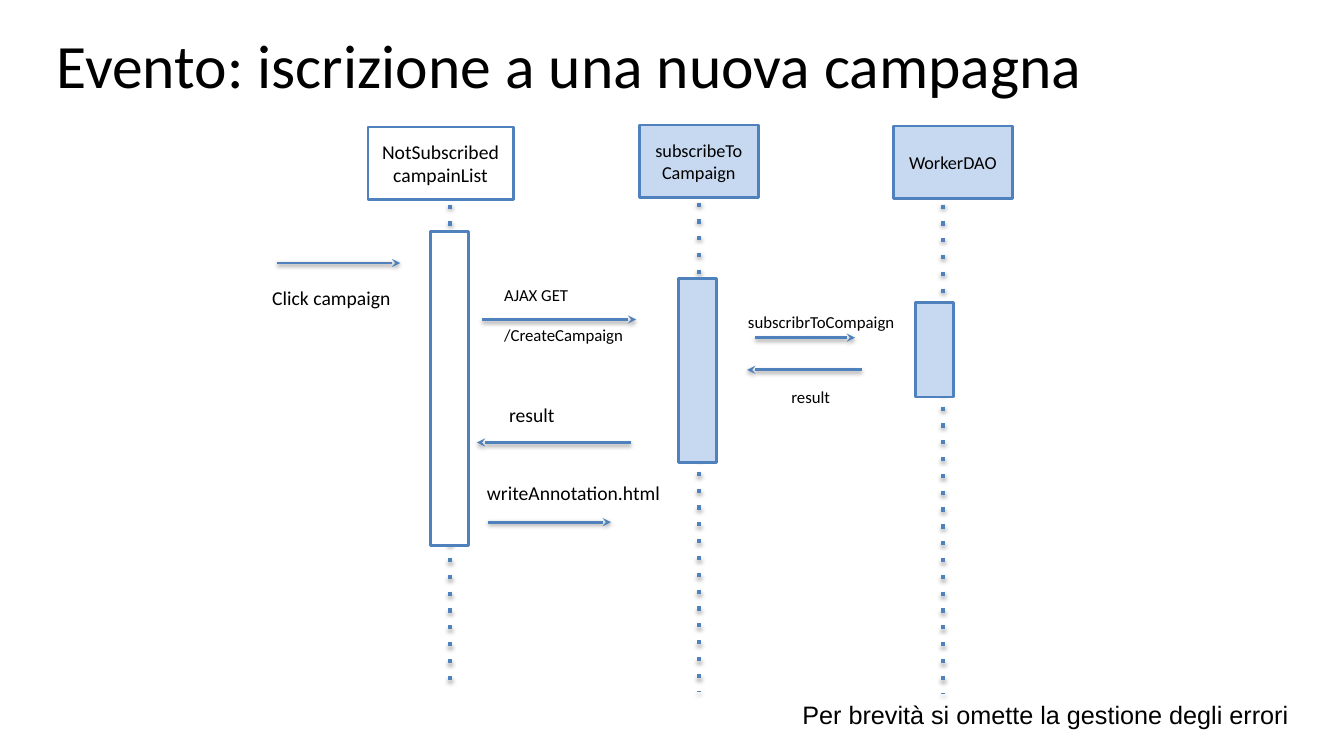
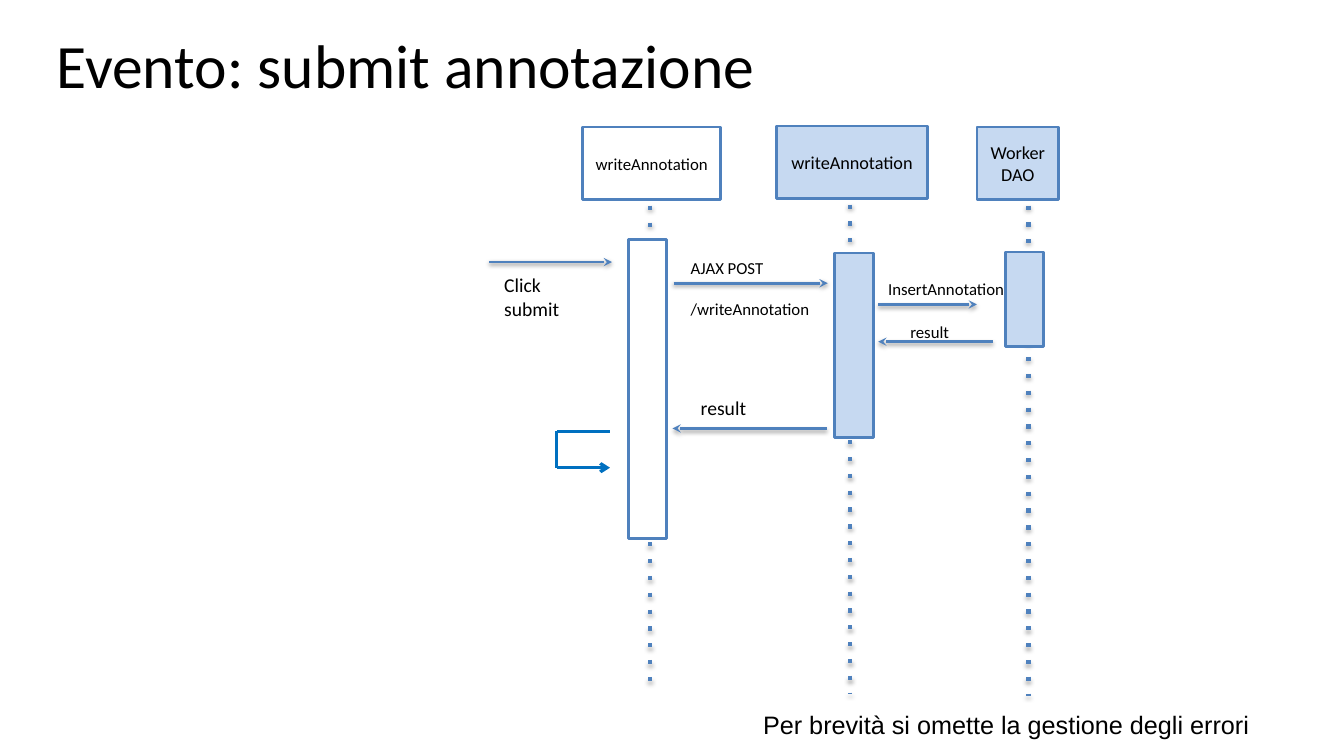
"""Builds two sequence diagram slides for the events of a campaign application."""
from itertools import pairwise

from lxml import etree
from pptx import Presentation
from pptx.dml.color import RGBColor
from pptx.enum.shapes import MSO_CONNECTOR, MSO_SHAPE
from pptx.enum.text import MSO_ANCHOR, MSO_AUTO_SIZE, PP_ALIGN
from pptx.oxml.ns import qn
from pptx.util import Emu, Pt

EMU_PER_PX = 9144
SLIDE_SIZE = (1333, 750)
TITLE_BOX = (44, 1, 1174, 125)
HEAD_HEIGHT = 72
BAR_WIDTH = 38
NOTE_SIZE = (540, 40)
INSETS = (12, 6)
TIGHT_INSETS = (10, 5)
LINE_GAP = 14.6
COLORS = {
    "text": "000000",
    "outline": "4F81BD",
    "client": "FFFFFF",
    "server": "C6D9F1",
    "loop": "0070C0",
    "shadow": "000000",
}
FONT = "Calibri"
NOTE_FONT = "Arial"
NOTE = "Per brevità si omette la gestione degli errori"
LIFELINE_SHADOW = {"alpha": 35, "distance": 1.8}
ARROW_SHADOW = {"alpha": 38, "distance": 1.6}
SHADOW_BLUR = 3.1

EVENTS = [
    {
        "title": "Evento: iscrizione a una nuova campagna",
        "participants": [
            {"name": "NotSubscribedcampainList", "size": 14, "side": "client",
             "head": (365, 126, 144), "life": (446, 203, 687), "bar": (427, 230, 311)},
            {"name": "subscribeToCampaign", "size": 13, "side": "server",
             "head": (634, 124, 118), "life": (693, 201, 686), "bar": (673, 276, 183)},
            {"name": "WorkerDAO", "size": 13, "side": "server",
             "head": (886, 125, 118), "life": (935, 203, 688), "bar": (908, 300, 94)},
        ],
        "arrows": [(275, 397, 261), (478, 631, 317), (626, 473, 439),
                   (484, 606, 518), (749, 848, 335), (855, 741, 367)],
        "labels": [
            (["Click campaign"], 14, (258, 278, 162, 49)),
            (["AJAX GET", "/CreateCampaign"], 12, (488, 276, 170, 105)),
            (["result"], 14, (493, 394, 133, 39)),
            (["writeAnnotation.html"], 14, (471, 471, 207, 34)),
        ],
        "tight_labels": [
            (["subscribrToCompaign"], 12, (732, 304, 168, 30)),
            (["result"], 12, (775, 379, 59, 30)),
        ],
        "loop": [],
        "note": (786, 689),
    },
    {
        "title": "Evento: submit annotazione",
        "participants": [
            {"name": "writeAnnotation", "size": 12, "side": "client",
             "head": (578, 126, 137), "life": (645, 154, 687), "bar": (623, 238, 296)},
            {"name": "writeAnnotation", "size": 13, "side": "server",
             "head": (770, 125, 150), "life": (843, 203, 688), "bar": (828, 251, 183)},
            {"name": "WorkerDAO", "size": 13, "side": "server",
             "head": (969, 126, 81), "life": (1020, 204, 690), "bar": (997, 250, 94)},
        ],
        "arrows": [(485, 607, 260), (668, 821, 281), (820, 667, 425),
                   (871, 969, 302), (985, 871, 339)],
        "labels": [
            (["Click submit"], 14, (488, 265, 112, 49)),
            (["AJAX POST", "/writeAnnotation"], 12, (673, 250, 170, 105)),
            (["result"], 14, (683, 387, 133, 39)),
        ],
        "tight_labels": [
            (["InsertAnnotation"], 12, (871, 272, 137, 30)),
            (["result"], 12, (893, 314, 59, 30)),
        ],
        "loop": [(605, 428), (552, 428), (552, 464), (605, 464)],
        "note": (747, 699),
    },
]


def px(*lengths):
    return [Emu(length * EMU_PER_PX) for length in lengths]


def rgb(role):
    return RGBColor.from_string(COLORS[role])


def write(frame, lines, size, font=FONT, insets=INSETS, align=None, wrap=True):
    frame.word_wrap = wrap
    frame.margin_left = frame.margin_right = px(insets[0])[0]
    frame.margin_top = frame.margin_bottom = px(insets[1])[0]
    frame.text = "\n".join(lines)
    for index, paragraph in enumerate(frame.paragraphs):
        paragraph.alignment = align
        if index:
            paragraph.space_before = Pt(LINE_GAP)
        for run in paragraph.runs:
            run.font.name = font
            run.font.size = Pt(size)
            run.font.color.rgb = rgb("text")


def add_label(slide, lines, size, box, **style):
    label = slide.shapes.add_textbox(*px(*box))
    write(label.text_frame, lines, size, **style)


def add_box(slide, box, side):
    rectangle = slide.shapes.add_shape(MSO_SHAPE.RECTANGLE, *px(*box))
    rectangle.shadow.inherit = False
    rectangle.fill.solid()
    rectangle.fill.fore_color.rgb = rgb(side)
    rectangle.line.color.rgb = rgb("outline")
    rectangle.line.width = Pt(2)
    return rectangle


def add_line(shapes, start, end, role="outline", width=2, dash=None, tail=None, shadow=None):
    line = shapes.add_connector(MSO_CONNECTOR.STRAIGHT, *px(*start, *end))
    line.line.color.rgb = rgb(role)
    line.line.width = Pt(width)
    properties = line._element.spPr
    stroke = properties.find(qn("a:ln"))
    if dash:
        etree.SubElement(stroke, qn("a:prstDash"), val=dash)
    if tail:
        etree.SubElement(stroke, qn("a:tailEnd"), type=tail)
    effects = etree.SubElement(properties, qn("a:effectLst"))
    if shadow:
        outer = etree.SubElement(
            effects, qn("a:outerShdw"), blurRad=str(Pt(SHADOW_BLUR)),
            dist=str(Pt(shadow["distance"])), dir="5400000", rotWithShape="0")
        tint = etree.SubElement(outer, qn("a:srgbClr"), val=COLORS["shadow"])
        etree.SubElement(tint, qn("a:alpha"), val=str(shadow["alpha"] * 1000))


def add_participant(slide, participant):
    x, top, bottom = participant["life"]
    add_line(slide.shapes, (x, top), (x, bottom), width=3, dash="dot", shadow=LIFELINE_SHADOW)
    head = add_box(slide, (*participant["head"], HEAD_HEIGHT), participant["side"])
    head.text_frame.vertical_anchor = MSO_ANCHOR.MIDDLE
    write(head.text_frame, [participant["name"]], participant["size"], align=PP_ALIGN.CENTER)
    left, bar_top, height = participant["bar"]
    add_box(slide, (left, bar_top, BAR_WIDTH, height), participant["side"])


def add_loop(slide, corners):
    group = slide.shapes.add_group_shape()
    for start, end in pairwise(corners):
        tail = "arrow" if end == corners[-1] else None
        add_line(group.shapes, start, end, role="loop", width=2.25, tail=tail)


def add_title(slide, text):
    title = slide.shapes.title
    title.left, title.top, title.width, title.height = px(*TITLE_BOX)
    write(title.text_frame, [text], 44, align=PP_ALIGN.LEFT)
    title.text_frame.vertical_anchor = MSO_ANCHOR.MIDDLE
    title.text_frame.auto_size = MSO_AUTO_SIZE.NONE


def add_event(deck, event):
    slide = deck.slides.add_slide(deck.slide_layouts[5])
    add_title(slide, event["title"])
    for participant in event["participants"]:
        add_participant(slide, participant)
    for start, end, y in event["arrows"]:
        add_line(slide.shapes, (start, y), (end, y), tail="stealth", shadow=ARROW_SHADOW)
    for label in event["labels"]:
        add_label(slide, *label)
    for label in event["tight_labels"]:
        add_label(slide, *label, insets=TIGHT_INSETS, wrap=False)
    if event["loop"]:
        add_loop(slide, event["loop"])
    add_label(slide, [NOTE], 18, (*event["note"], *NOTE_SIZE), font=NOTE_FONT, insets=TIGHT_INSETS)


def main():
    deck = Presentation()
    deck.slide_width, deck.slide_height = px(*SLIDE_SIZE)
    for event in EVENTS:
        add_event(deck, event)
    deck.save("out.pptx")


if __name__ == "__main__":
    main()
